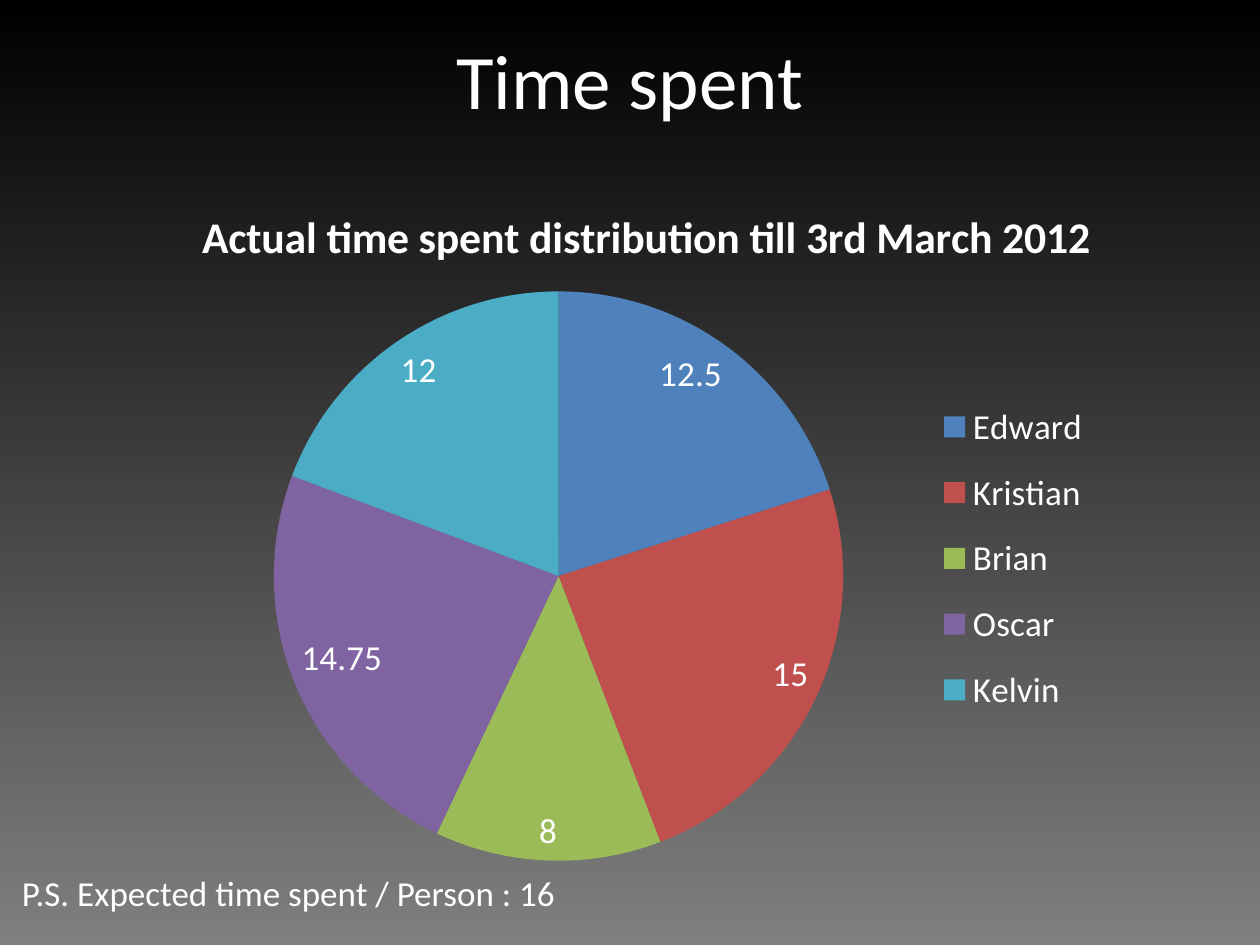
from lxml import etree
from pptx import Presentation
from pptx import util as u
from pptx.chart import data as chart_data
from pptx.dml import color
from pptx.enum import chart as chart_enum
from pptx.enum import text
from pptx.oxml import ns

COLORS = {
    "white": "FFFFFF", "grey": "7F7F7F", "black": "000000",
    "Edward": "4F81BD", "Kristian": "C0504D", "Brian": "9BBB59",
    "Oscar": "8064A2", "Kelvin": "4BACC6",
}
HOURS = {"Edward": 12.5, "Kristian": 15, "Brian": 8, "Oscar": 14.75, "Kelvin": 12}


class SlideBuilder:
    """Draws styled elements on one slide, measured in pixels."""

    scale = u.Inches(1) // 126
    font = "Calibri"

    def __init__(self, deck):
        self.slide = deck.slides.add_slide(deck.slide_layouts[5])

    def rgb(self, name):
        return color.RGBColor.from_string(COLORS[name])

    def emu(self, *pixels):
        return [u.Emu(value * self.scale) for value in pixels]

    def style(self, font, size, bold=False):
        font.name, font.size, font.bold = self.font, u.Pt(size), bold
        font.color.rgb = self.rgb("white")

    def background(self, bottom, top):
        fill = self.slide.background.fill
        fill.gradient()
        fill.gradient_angle = 90
        for stop, name in zip(fill.gradient_stops, (bottom, top)):
            stop.color.rgb = self.rgb(name)

    def centred_text(self, frame, words, size):
        frame.word_wrap = True
        frame.vertical_anchor = text.MSO_ANCHOR.MIDDLE
        para = frame.paragraphs[0]
        para.alignment = text.PP_ALIGN.CENTER
        span = para.add_run()
        span.text = words
        self.style(span.font, size)

    def title(self, words, size, *place):
        box = self.slide.shapes.title
        box.left, box.top, box.width, box.height = self.emu(*place)
        self.centred_text(box.text_frame, words, size)

    def note(self, words, size, *place):
        box = self.slide.shapes.add_textbox(*self.emu(*place))
        self.centred_text(box.text_frame, words, size)

    def layout(self, parent, before, inner, **fractions):
        for old in parent.findall(ns.qn("c:layout")):
            parent.remove(old)
        layout = etree.Element(ns.qn("c:layout"))
        manual = etree.SubElement(layout, ns.qn("c:manualLayout"))
        settings = {"layoutTarget": "inner"} if inner else {}
        settings.update(xMode="edge", yMode="edge", **fractions)
        for tag, value in settings.items():
            etree.SubElement(manual, ns.qn("c:" + tag)).set("val", str(value))
        parent.find(ns.qn(before)).addprevious(layout)

    def pie(self, heading, values, *place):
        data = chart_data.CategoryChartData()
        data.categories = list(values)
        data.add_series("Series 1", list(values.values()))
        chart = self.slide.shapes.add_chart(
            chart_enum.XL_CHART_TYPE.PIE, *self.emu(*place), data).chart
        self.style(chart.font, 10)
        chart.has_title = True
        span = chart.chart_title.text_frame.paragraphs[0].add_run()
        span.text = heading
        self.style(span.font, 25, True)
        chart.has_legend = True
        legend = chart.legend
        legend.position = chart_enum.XL_LEGEND_POSITION.RIGHT
        legend.include_in_layout = False
        self.style(legend.font, 20)
        plot = chart.plots[0]
        plot.vary_by_categories = True
        for index, name in enumerate(values):
            fill = plot.series[0].points[index].format.fill
            fill.solid()
            fill.fore_color.rgb = self.rgb(name)
        labels = plot.series[0].data_labels
        labels.show_value = True
        labels.position = chart_enum.XL_LABEL_POSITION.INSIDE_END
        self.style(labels.font, 20)
        area = chart.element.find(".//" + ns.qn("c:plotArea"))
        self.layout(area, "c:pieChart", True, x=0.18, y=0.16, w=0.49, h=0.81)
        area = chart.element.find(".//" + ns.qn("c:legend"))
        self.layout(area, "c:overlay", False, x=0.74, y=0.29, w=0.15, h=0.5)


deck = Presentation()
deck.slide_width, deck.slide_height = u.Inches(10), u.Inches(7.5)
builder = SlideBuilder(deck)
builder.background("grey", "black")
builder.title("Time spent", 44, 63, 0, 1134, 158)
builder.pie("Actual time spent distribution till 3rd March 2012", HOURS,
            63, 179, 1166, 703)
builder.note("P.S. Expected time spent / Person : 16", 20, 0, 840, 577, 105)
deck.save("out.pptx")
